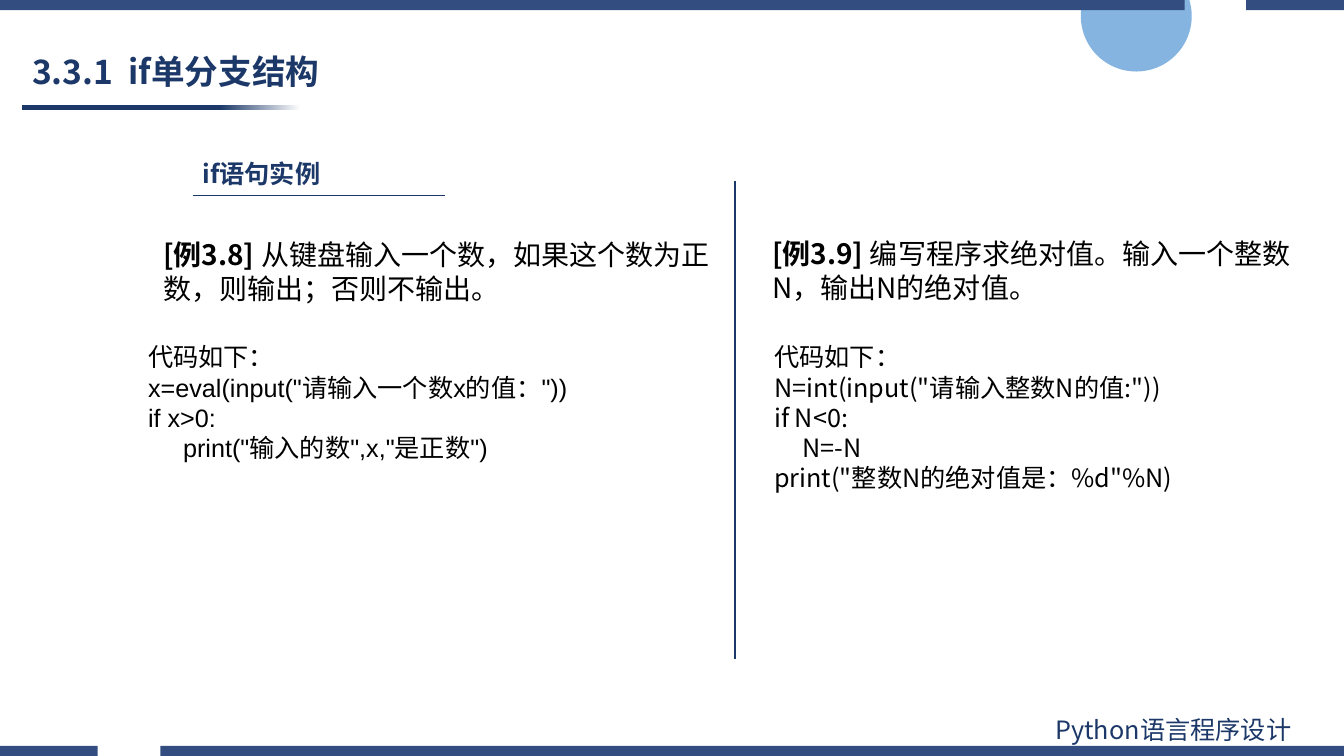
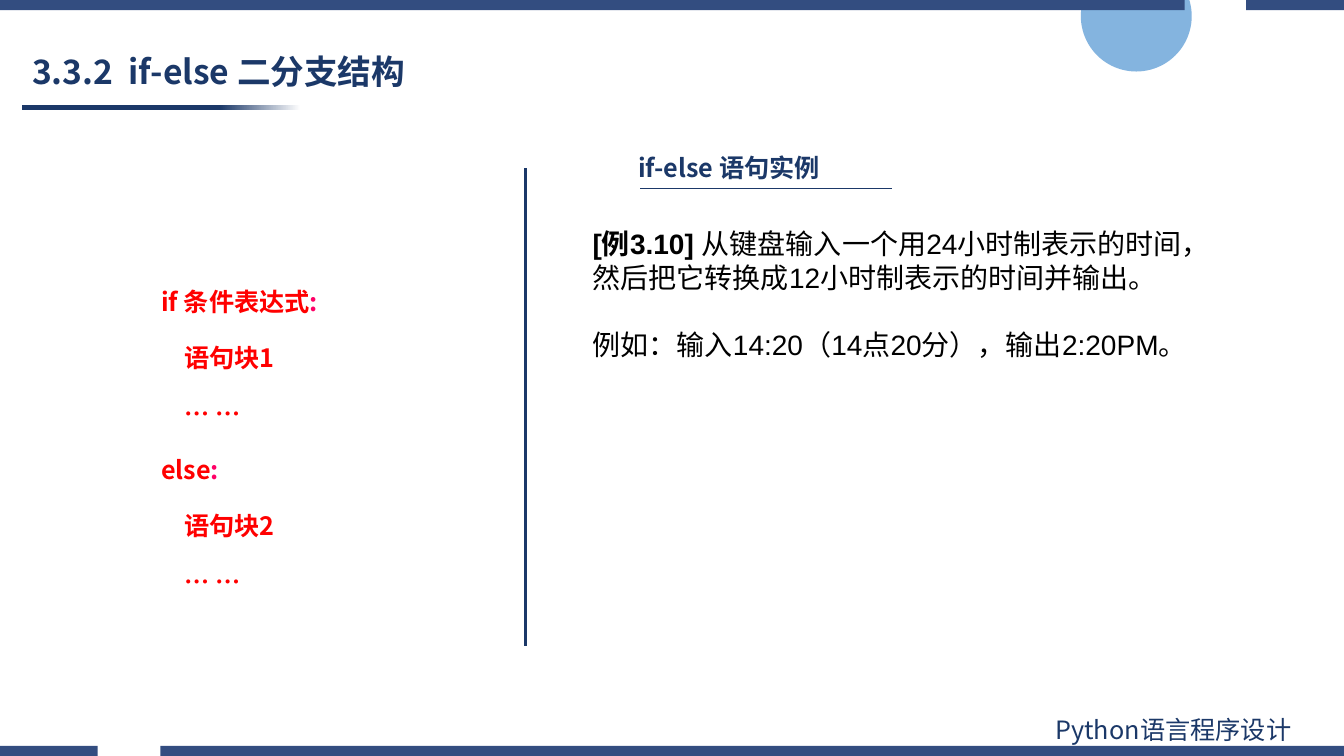
from dataclasses import dataclass

from lxml import etree
from pptx import Presentation
from pptx.dml.color import RGBColor
from pptx.enum import shapes, text
from pptx.oxml.ns import qn
from pptx.util import Inches, Pt


@dataclass(frozen=True)
class Theme:
    navy: RGBColor = RGBColor(0x1B, 0x38, 0x68)
    band: RGBColor = RGBColor(0x33, 0x4D, 0x80)
    circle: RGBColor = RGBColor(0x5B, 0x9B, 0xD5)
    white: RGBColor = RGBColor(0xFF, 0xFF, 0xFF)
    black: RGBColor = RGBColor(0, 0, 0)
    red: RGBColor = RGBColor(0xFF, 0, 0)
    pink: RGBColor = RGBColor(0xFF, 0, 0x66)
    cjk: str = "Noto Sans CJK SC"
    latin: str = "Arial"
    title: int = 24
    body: int = 20
    small: int = 18


theme = Theme()


def add_text(page, place, paragraphs, size, font=theme.cjk):
    """Add a wrapping text box; each paragraph is a list of (text, bold, colour) runs."""
    box = page.shapes.add_textbox(*map(Inches, place))
    frame = box.text_frame
    frame.word_wrap = True
    for number, runs in enumerate(paragraphs):
        para = frame.paragraphs[0] if number == 0 else frame.add_paragraph()
        for words, bold, colour in runs:
            span = para.add_run()
            span.text = words
            span.font.size = Pt(size)
            span.font.bold = bold
            span.font.name = font
            span.font.color.rgb = colour
            east_asian = etree.SubElement(span.font._element, qn("a:ea"))
            east_asian.set("typeface", theme.cjk)
    return frame


def add_line(page, start, end, width):
    line = page.shapes.add_connector(
        shapes.MSO_CONNECTOR.STRAIGHT, *map(Inches, start + end))
    line.line.color.rgb = theme.navy
    line.line.width = Pt(width)
    etree.SubElement(line._element.spPr, qn("a:effectLst"))


deck = Presentation()
deck.slide_width = Inches(13.33)
deck.slide_height = Inches(7.5)

# Frame shared by both slides: circle, title rule, edge bands, title, footer
decorations = [
    ("circle", (10.72, -0.39, 1.1, 1.1)),
    ("title rule", (0.22, 1.04, 2.76, 0.05)),
    ("band", (0, 0, 11.75, 0.1)),
    ("band", (12.36, 0, 0.97, 0.1)),
    ("band", (0, 7.4, 0.97, 0.1)),
    ("band", (1.59, 7.4, 11.74, 0.1)),
]
# Each slide: title, subtitle with its place and underline start, divider start
outlines = [
    ("3.3.1  if单分支结构", "if语句实例", (1.91, 1.52), (1.91, 1.94), (7.29, 1.8)),
    ("3.3.2  if-else 二分支结构", "if-else 语句实例", (6.23, 1.46), (6.35, 1.87), (5.21, 1.67)),
]
pages = []
for title, subtitle, subtitle_at, underline, divider in outlines:
    page = deck.slides.add_slide(deck.slide_layouts[6])
    pages.append(page)

    for part, place in decorations:
        preset = shapes.MSO_SHAPE.OVAL if part == "circle" else shapes.MSO_SHAPE.RECTANGLE
        shape = page.shapes.add_shape(preset, *map(Inches, place))
        shape.shadow.inherit = False
        shape.line.fill.background()
        if part == "title rule":
            shape.fill.gradient()
            shape.fill.gradient_angle = 0
            stops = zip(shape.fill.gradient_stops, (0.71, 1), (theme.navy, theme.white))
            for stop, position, colour in stops:
                stop.position = position
                stop.color.rgb = colour
        else:
            shape.fill.solid()
            shape.fill.fore_color.rgb = theme.circle if part == "circle" else theme.band
        if part == "circle":
            colour = shape._element.spPr.find(".//" + qn("a:srgbClr"))
            etree.SubElement(colour, qn("a:alpha")).set("val", "75000")

    heading = add_text(page, (0.22, 0.45, 6.04, 0.56),
                       [[(title, True, theme.navy)]], theme.title)
    heading.vertical_anchor = text.MSO_ANCHOR.MIDDLE
    heading.paragraphs[0].line_spacing = 0.9
    add_text(page, (10.37, 7.04, 2.94, 0.4),
             [[("Python语言程序设计", False, theme.navy)]], theme.small)

    # Subtitle, its underline and the column divider
    add_text(page, subtitle_at + (3.4, 0.4), [[(subtitle, True, theme.navy)]], theme.small)
    add_line(page, underline, (underline[0] + 2.5, underline[1]), 0.5)
    add_line(page, divider, (divider[0], divider[1] + 4.74), 2)

single_page, double_page = pages

# Slide 1: two examples, each a task above its code
examples = [
    ((1.52, 2.31, 5.74, 0.8), "[例3.8] ",
     "从键盘输入一个数，如果这个数为正数，则输出；否则不输出。",
     (1.37, 3.34, 5.19, 1.31), theme.latin,
     ["代码如下：", 'x=eval(input("请输入一个数x的值："))', "if x>0:",
      '     print("输入的数",x,"是正数")']),
    ((7.56, 2.3, 5.44, 0.8), "[例3.9] ",
     "编写程序求绝对值。输入一个整数N，输出N的绝对值。",
     (7.58, 3.34, 5.19, 1.62), theme.cjk,
     ["代码如下：", 'N=int(input("请输入整数N的值:"))', "if N<0:",
      "     N=-N", 'print("整数N的绝对值是：%d"%N)']),
]
for task_place, label, task, code_place, code_font, code in examples:
    add_text(single_page, task_place,
             [[(label, True, theme.black), (task, False, theme.black)]], theme.body)
    add_text(single_page, code_place,
             [[(row, False, theme.black)] for row in code], theme.small, code_font)

# Slide 2: syntax pattern, nested rows indented
branches = [("if 条件表达式", "语句块1"), ("else", "语句块2")]
rows = []
for head, block in branches:
    rows += [
        (0.5, [(head, True, theme.red), (":", True, theme.pink)]),
        (0.73, [(block, True, theme.red)]),
        (0.73, [("… …", True, theme.red)]),
    ]
syntax = add_text(double_page, (1, 2.7, 3.33, 3.23), [runs for _, runs in rows], theme.small)
for number, (para, (indent, _)) in enumerate(zip(syntax.paragraphs, rows)):
    para._p.get_or_add_pPr().set("marL", str(Inches(indent)))
    para.line_spacing = 1.3
    para.space_before = Pt(6 if number else 0)
    para.space_after = Pt(6)

# Slide 2: example task
task = add_text(double_page, (5.78, 2.2, 6.43, 1.93), [
    [("[例3.10] ", True, theme.black),
     ("从键盘输入一个用24小时制表示的时间，然后把它转换成12小时制表示的时间并输出。",
      False, theme.black)],
    [("例如：输入14:20（14点20分），输出2:20PM。", False, theme.black)],
], theme.body, theme.latin)
task.paragraphs[1].space_before = Pt(24)

deck.save("out.pptx")
